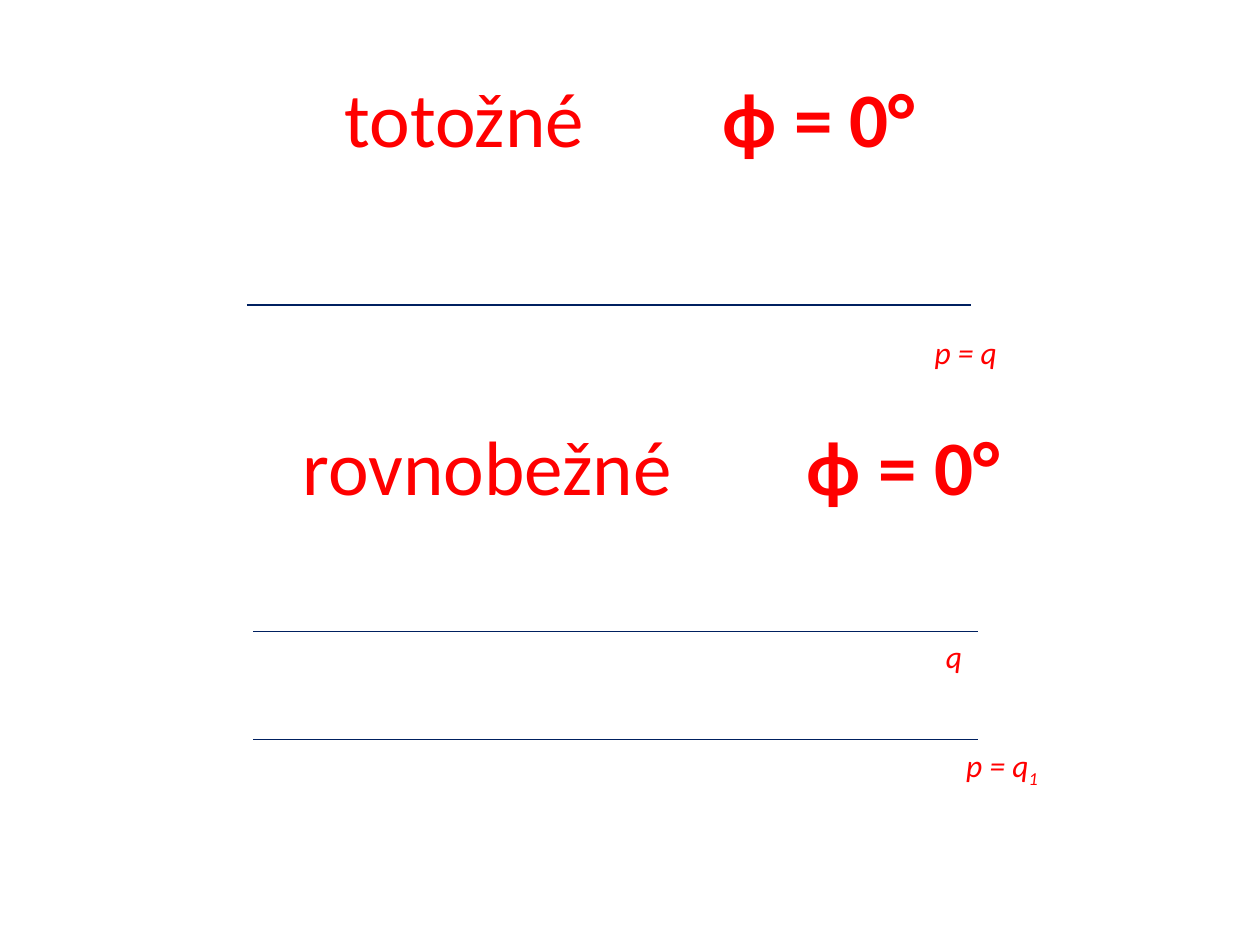
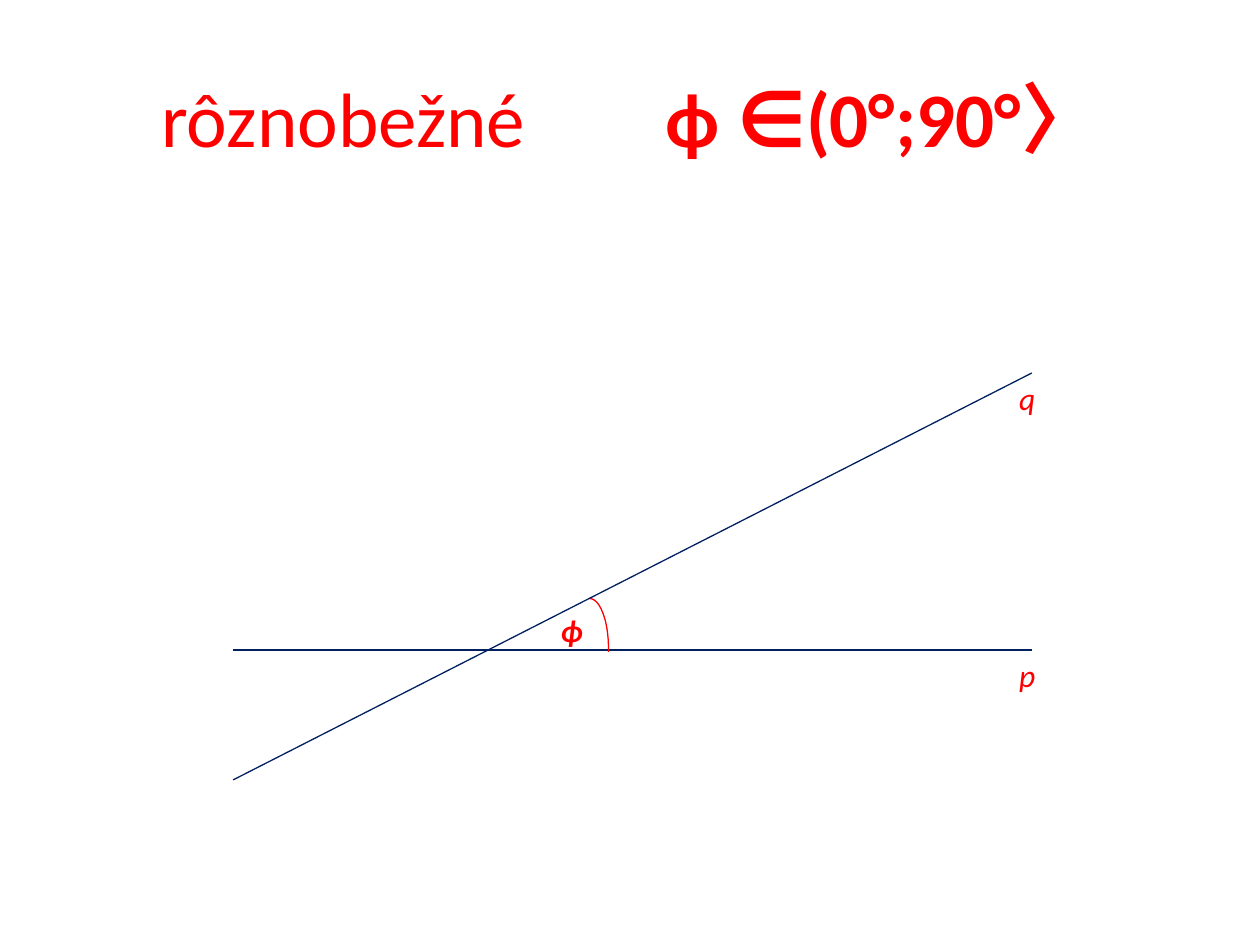
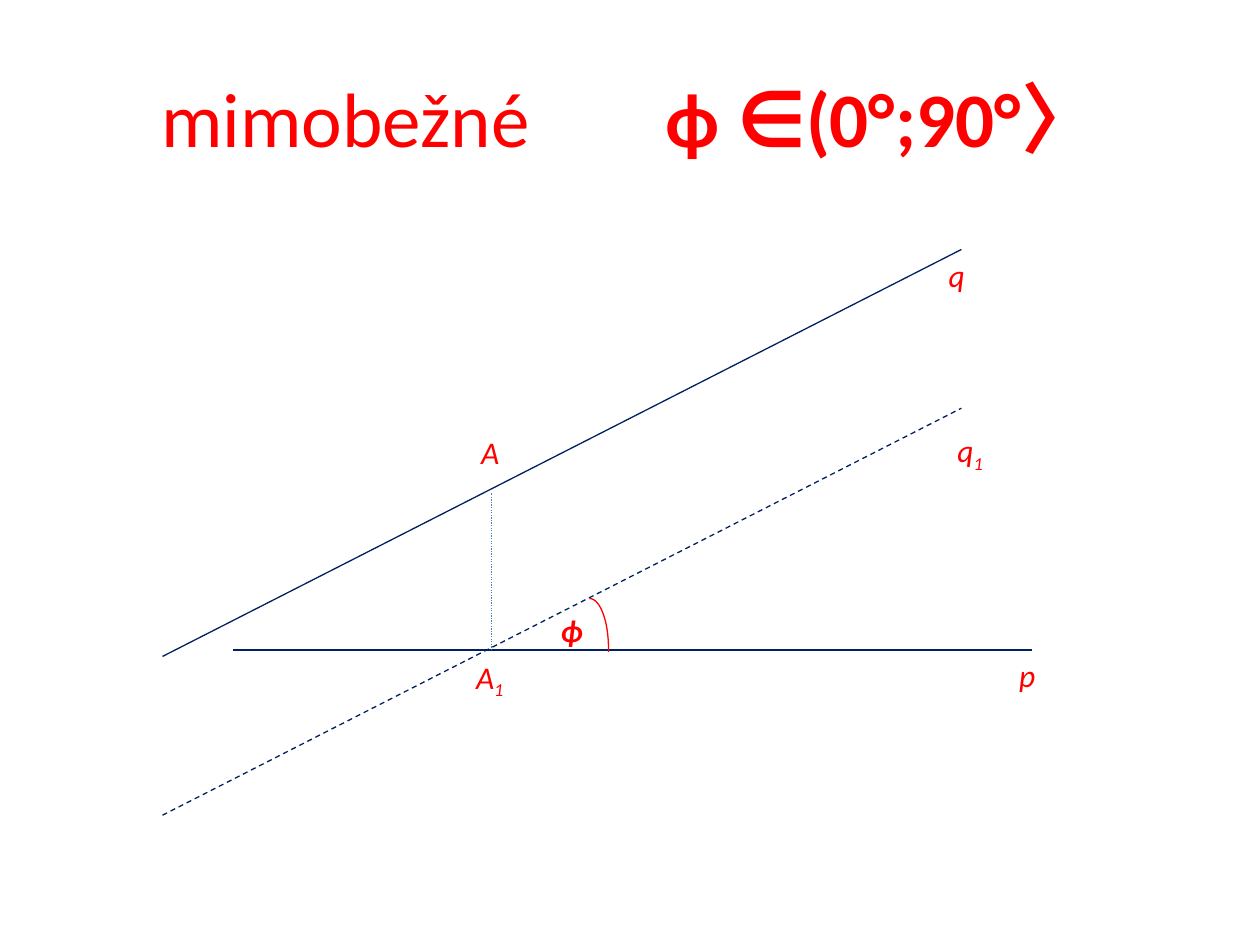
"""Builds three slides on the angle between two lines."""
from lxml.etree import SubElement
from pptx import Presentation
from pptx.dml.color import RGBColor
from pptx.enum.dml import MSO_LINE as DASH
from pptx.enum.shapes import MSO_CONNECTOR as CONN, MSO_SHAPE as SHAPE
from pptx.enum.text import MSO_ANCHOR as ANCHOR, MSO_AUTO_SIZE as FIT, PP_ALIGN as ALIGN
from pptx.oxml.ns import qn
from pptx.util import Inches, Pt

COLORS = {"text": "FF0000", "line": "002060", "projection": "4B7EBC"}
FONT = "Calibri"
RISE = 3.23


def add_text(s, box, runs, title=False):
    tf = s.shapes.add_textbox(*map(Inches, box)).text_frame
    tf.word_wrap = title
    p = tf.paragraphs[0]
    if title:
        tf.vertical_anchor = ANCHOR.MIDDLE
        p.alignment = ALIGN.CENTER
        p._p.get_or_add_pPr().set("defTabSz", str(Inches(1)))
    else:
        tf.auto_size = FIT.SHAPE_TO_FIT_TEXT
    for text, style in runs:
        r = p.add_run()
        r.text = text
        r.font.name = FONT
        r.font.size = Pt(44 if title else 18)
        r.font.bold = "bold" in style
        r.font.italic = not title
        r.font.color.rgb = RGBColor.from_string(COLORS["text"])
        rPr = r._r.get_or_add_rPr()
        if "sub" in style:
            rPr.set("baseline", "-25000")
        if "outline" in style:
            ln = SubElement(rPr, qn("a:ln"), w=str(Pt(0.75)))
            fill = SubElement(ln, qn("a:solidFill"))
            SubElement(fill, qn("a:srgbClr"), val=COLORS["line"])
            rPr.insert(0, ln)


def add_line(s, ends, color="line", dash=None):
    c = s.shapes.add_connector(CONN.STRAIGHT, *map(Inches, ends))
    c.line.color.rgb = RGBColor.from_string(COLORS[color])
    c.line.width = Pt(0.75)
    if dash:
        c.line.dash_style = dash
    SubElement(c._element.spPr, qn("a:effectLst"))


prs = Presentation()
prs.slide_width, prs.slide_height = Inches(10), Inches(7.5)
blank = prs.slide_layouts[6]
identical, crossing, skew = [prs.slides.add_slide(blank) for _ in range(3)]

title_box = (0.5, 0.3, 9, 1.25)
zero, interval = "ϕ = 0°", "ϕ ∈(0°;90°〉"
for s, box, name, angle in [
    (identical, title_box, "totožné \t", zero),
    (identical, (0.67, 3.06, 9, 1.25), "rovnobežné\t\t", zero),
    (crossing, title_box, "rôznobežné\t\t", interval),
    (skew, title_box, "mimobežné\t\t", interval),
]:
    add_text(s, box, [(name, ""), (angle, "bold")], title=True)

for x, y in [(1.96, 2.42), (2.01, 5.01), (2.01, 5.87)]:
    add_line(identical, (x, y, x + 5.75, y))

for s in (crossing, skew):
    add_line(s, (1.85, 5.16, 8.19, 5.16))
    arc = s.shapes.add_shape(SHAPE.ARC, Inches(4.53), Inches(4.75), Inches(0.3), Inches(0.79))
    arc.adjustments[0], arc.adjustments[1] = 162, 6.27
    arc.shadow.inherit = False
    arc.fill.background()
    arc.line.color.rgb = RGBColor.from_string(COLORS["text"])
    arc.line.width = Pt(0.75)
    add_text(s, (4.35, 4.8, 0.35, 0.4), [("ϕ", "bold")])

for s, x, y, dash in [
    (crossing, 1.85, 6.19, None),
    (skew, 1.29, 5.21, None),
    (skew, 1.29, 6.47, DASH.DASH),
]:
    add_line(s, (x, y, x + 6.34, y - RISE), dash=dash)
add_line(skew, (3.9, 5.16, 3.9, 3.91), "projection", DASH.ROUND_DOT)

for s, x, y, w, label, index in [
    (identical, 7.32, 2.59, 0.7, "p = q", ""),
    (identical, 7.41, 5.01, 0.33, "q", ""),
    (identical, 7.57, 5.87, 0.79, "p = q", "1"),
    (crossing, 7.99, 2.96, 0.34, "q", ""),
    (crossing, 7.99, 5.16, 0.39, "p", ""),
    (skew, 7.99, 5.16, 0.39, "p", ""),
    (skew, 7.43, 1.98, 0.34, "q", ""),
    (skew, 7.5, 3.37, 0.42, "q", "1"),
    (skew, 3.72, 3.39, 0.35, "A", ""),
    (skew, 3.68, 5.17, 0.43, "A", "1"),
]:
    runs = [(label, "outline")]
    if index:
        runs.append((index, "outline sub"))
    add_text(s, (x, y, w, 0.4), runs)

prs.save("out.pptx")
